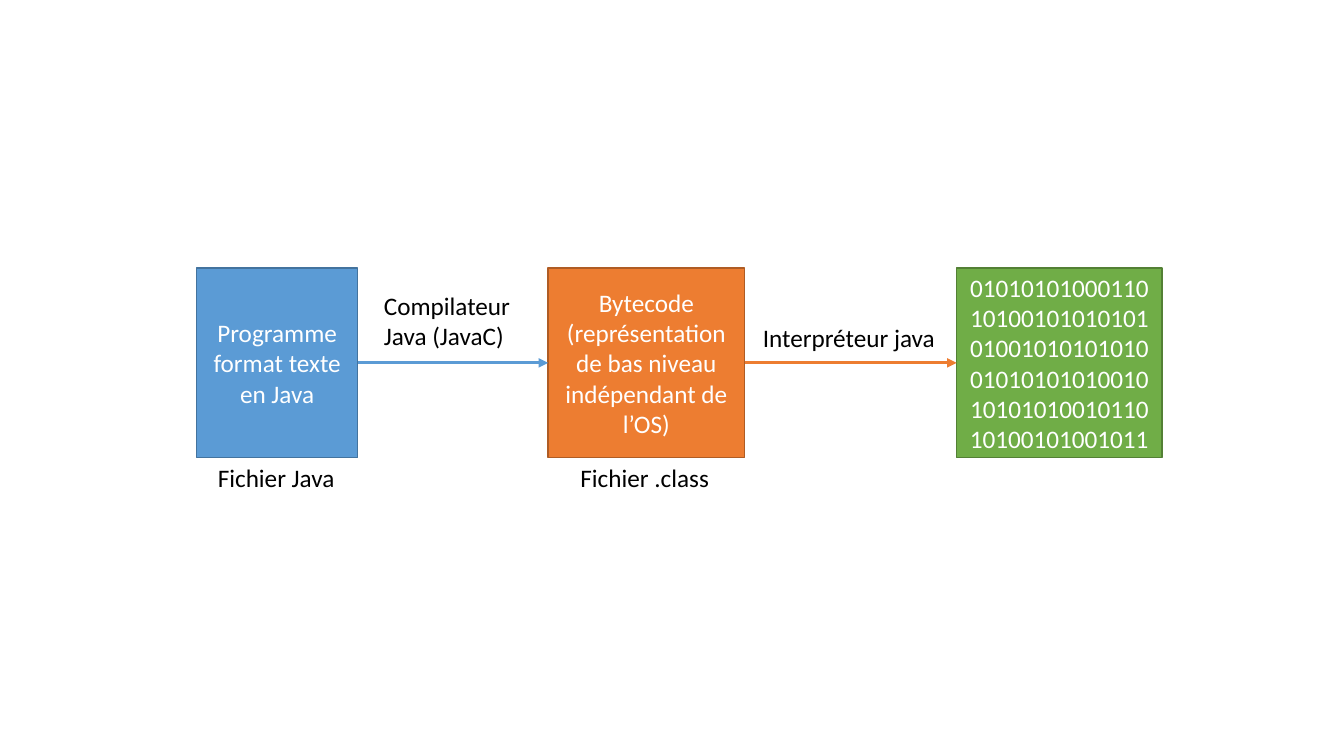
from dataclasses import dataclass

from lxml import etree
from pptx import Presentation
from pptx.dml import color
from pptx.enum import shapes, text
from pptx.oxml import ns
from pptx.util import Pt


@dataclass(frozen=True)
class Theme:
    """Colours and type of the slide."""
    font: str = "Calibri"
    size: float = 18
    dark: str = "000000"
    light: str = "FFFFFF"
    source: tuple = ("5B9BD5", "43739E")
    bytecode: tuple = ("ED7D31", "AF5C24")
    binary: tuple = ("70AD47", "538035")


theme = Theme()
rgb = color.RGBColor.from_string


def write(frame, wording, ink, align):
    """Fill a text frame with one formatted paragraph."""
    frame.text = wording
    paragraph = frame.paragraphs[0]
    paragraph.alignment = align
    font = paragraph.runs[0].font
    font.name, font.size = theme.font, Pt(theme.size)
    font.color.rgb = rgb(ink)


prs = Presentation()
prs.slide_width, prs.slide_height = Pt(960), Pt(540)
slide = prs.slides.add_slide(prs.slide_layouts[6])

stage_top, stage_height = 191.5, 135.4
arrow_y = stage_top + stage_height / 2

# Stages: left, width, (fill, outline), wording
stages = [
    (140.4, 115.2, theme.source, "Programme format texte en Java"),
    (391.5, 140.4, theme.bytecode,
     "Bytecode (représentation de bas niveau indépendant de l’OS)"),
    (683.3, 146.9, theme.binary,
     "010101010001101010010101010101001010101010010"
     "101010100101010101001011010100101001011"),
]
for left, width, (fill, outline), wording in stages:
    stage = slide.shapes.add_shape(
        shapes.MSO_SHAPE.RECTANGLE,
        Pt(left), Pt(stage_top), Pt(width), Pt(stage_height))
    stage.shadow.inherit = False
    stage.fill.solid()
    stage.fill.fore_color.rgb = rgb(fill)
    stage.line.color.rgb = rgb(outline)
    stage.line.width = Pt(1)
    stage.text_frame.word_wrap = True
    stage.text_frame.vertical_anchor = text.MSO_ANCHOR.MIDDLE
    write(stage.text_frame, wording, theme.light, text.PP_ALIGN.CENTER)

# Each arrow joins a stage to the next, in the colour of the stage it leaves
for (left, width, (fill, _), _), (next_left, *_) in zip(stages, stages[1:]):
    arrow = slide.shapes.add_connector(
        shapes.MSO_CONNECTOR.STRAIGHT,
        Pt(left + width), Pt(arrow_y), Pt(next_left), Pt(arrow_y))
    arrow.line.color.rgb = rgb(fill)
    arrow.line.width = Pt(2.25)
    etree.SubElement(arrow.line._get_or_add_ln(), ns.qn("a:tailEnd"), type="triangle")
    etree.SubElement(arrow._element.spPr, ns.qn("a:effectLst"))

# Labels: left, top, width, height, wraps, wording
file_top, line_height = 326.5, 29
labels = [
    (267.1, 203.9, 113.8, 51, True, "Compilateur Java (JavaC)"),
    (537.8, 226.5, 139, line_height, False, "Interpréteur java"),
    (148.5, file_top, 98.6, line_height, False, "Fichier Java"),
    (407.5, file_top, 107.3, line_height, False, "Fichier .class"),
]
for left, top, width, height, wraps, wording in labels:
    label = slide.shapes.add_textbox(Pt(left), Pt(top), Pt(width), Pt(height))
    label.text_frame.word_wrap = wraps
    label.text_frame.auto_size = text.MSO_AUTO_SIZE.SHAPE_TO_FIT_TEXT
    write(label.text_frame, wording, theme.dark, text.PP_ALIGN.LEFT)

prs.save("out.pptx")
